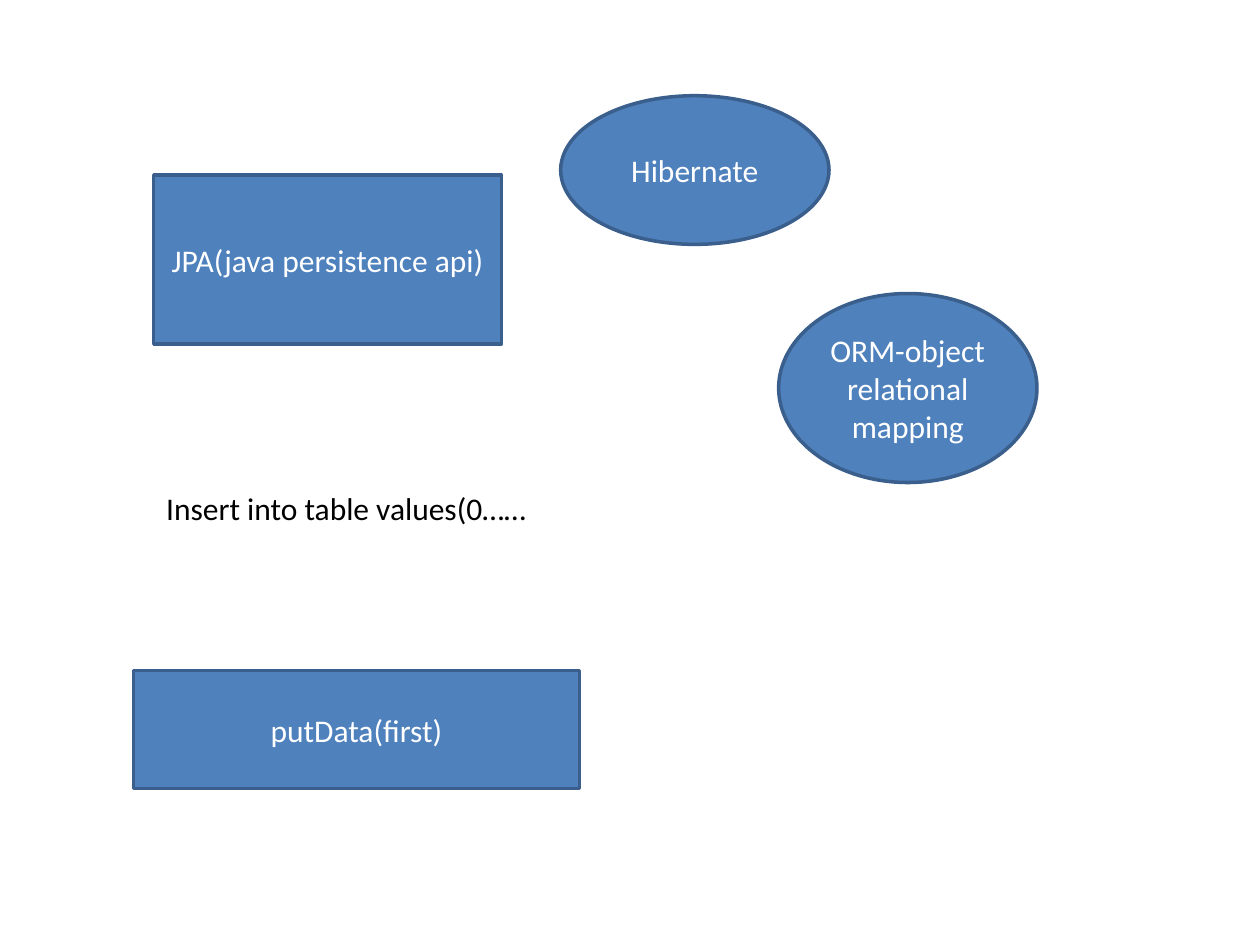
from pptx import Presentation
from pptx.dml.color import RGBColor
from pptx.enum.shapes import MSO_SHAPE
from pptx.enum.text import MSO_ANCHOR, MSO_AUTO_SIZE, PP_ALIGN
from pptx.util import Inches, Pt

RECT, OVAL = MSO_SHAPE.RECTANGLE, MSO_SHAPE.OVAL
MIDDLE, CENTER, LEFT = MSO_ANCHOR.MIDDLE, PP_ALIGN.CENTER, PP_ALIGN.LEFT
GROW = MSO_AUTO_SIZE.SHAPE_TO_FIT_TEXT
BLANK = 6


def color(code):
    return RGBColor.from_string(code)


class Board:
    font, size = "Calibri", 18
    fill, edge = "4F81BD", "3A5F8C"
    light, dark = "FFFFFF", "000000"

    def __init__(self, slide):
        self.slide = slide

    def set_text(self, frame, text, ink, align):
        frame.word_wrap = True
        para = frame.paragraphs[0]
        para.text = text
        para.alignment = align
        para.font.name = self.font
        para.font.size = Pt(self.size)
        para.font.color.rgb = color(ink)

    def node(self, kind, text, *box):
        shape = self.slide.shapes.add_shape(kind, *map(Inches, box))
        shape.shadow.inherit = False
        shape.fill.solid()
        shape.fill.fore_color.rgb = color(self.fill)
        shape.line.color.rgb = color(self.edge)
        shape.line.width = Pt(2)
        shape.text_frame.vertical_anchor = MIDDLE
        self.set_text(shape.text_frame, text, self.light, CENTER)

    def label(self, text, *box):
        frame = self.slide.shapes.add_textbox(*map(Inches, box)).text_frame
        self.set_text(frame, text, self.dark, LEFT)
        frame.auto_size = GROW


def main():
    deck = Presentation()
    deck.slide_width, deck.slide_height = Inches(10), Inches(7.5)
    board = Board(deck.slides.add_slide(deck.slide_layouts[BLANK]))

    # Persistence interface and the statement below it
    board.node(RECT, "JPA(java persistence api)", 1.22, 1.39, 2.76, 1.34)
    board.label("Insert into table values(0……", 1.22, 3.83, 7.32, 0.4)

    # Method call
    board.node(RECT, "putData(first)", 1.06, 5.32, 3.54, 0.94)

    # Mapping tools
    board.node(OVAL, "Hibernate", 4.45, 0.76, 2.13, 1.18)
    board.node(OVAL, "ORM-object relational mapping", 6.18, 2.33, 2.05, 1.5)

    deck.save("out.pptx")


if __name__ == "__main__":
    main()
